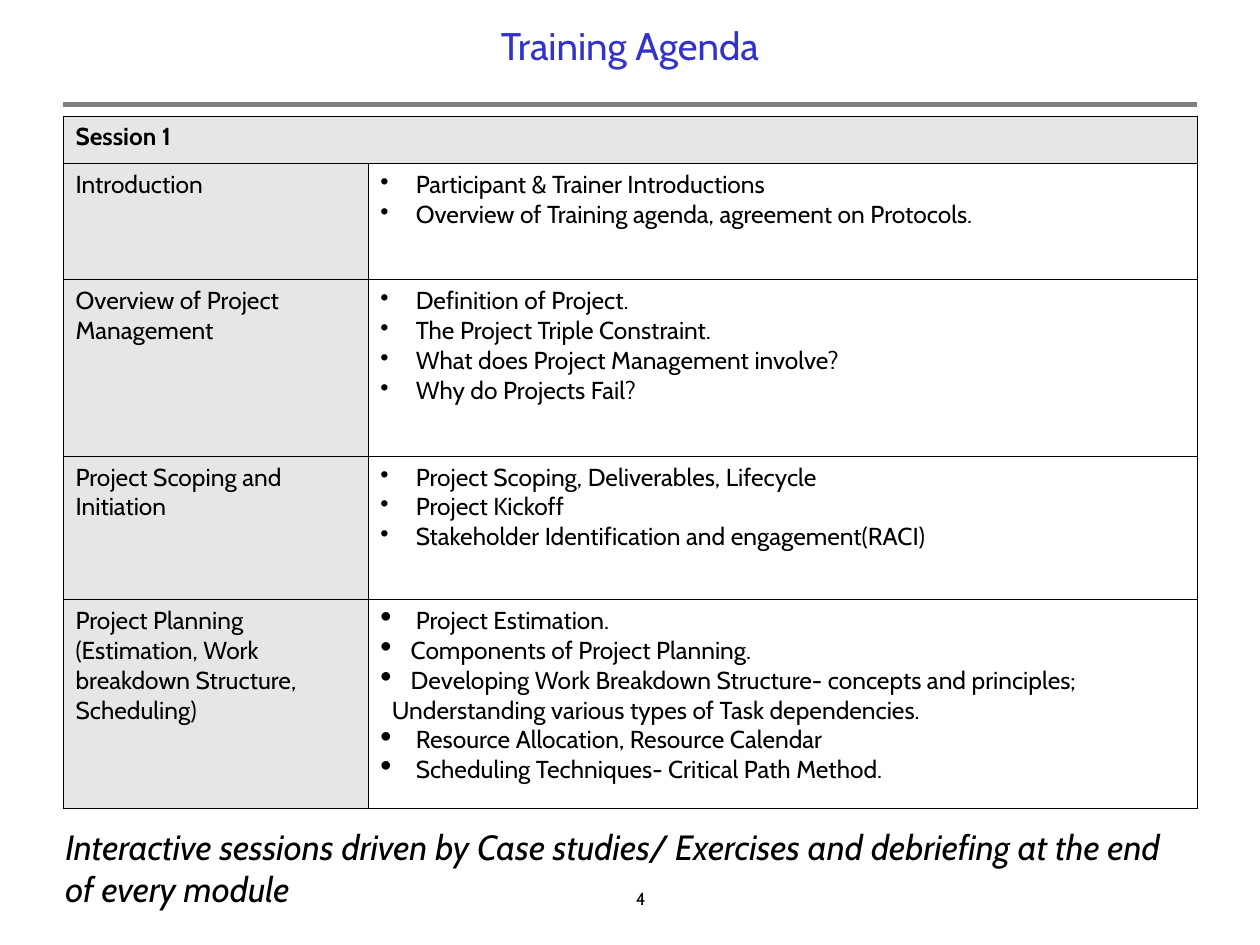
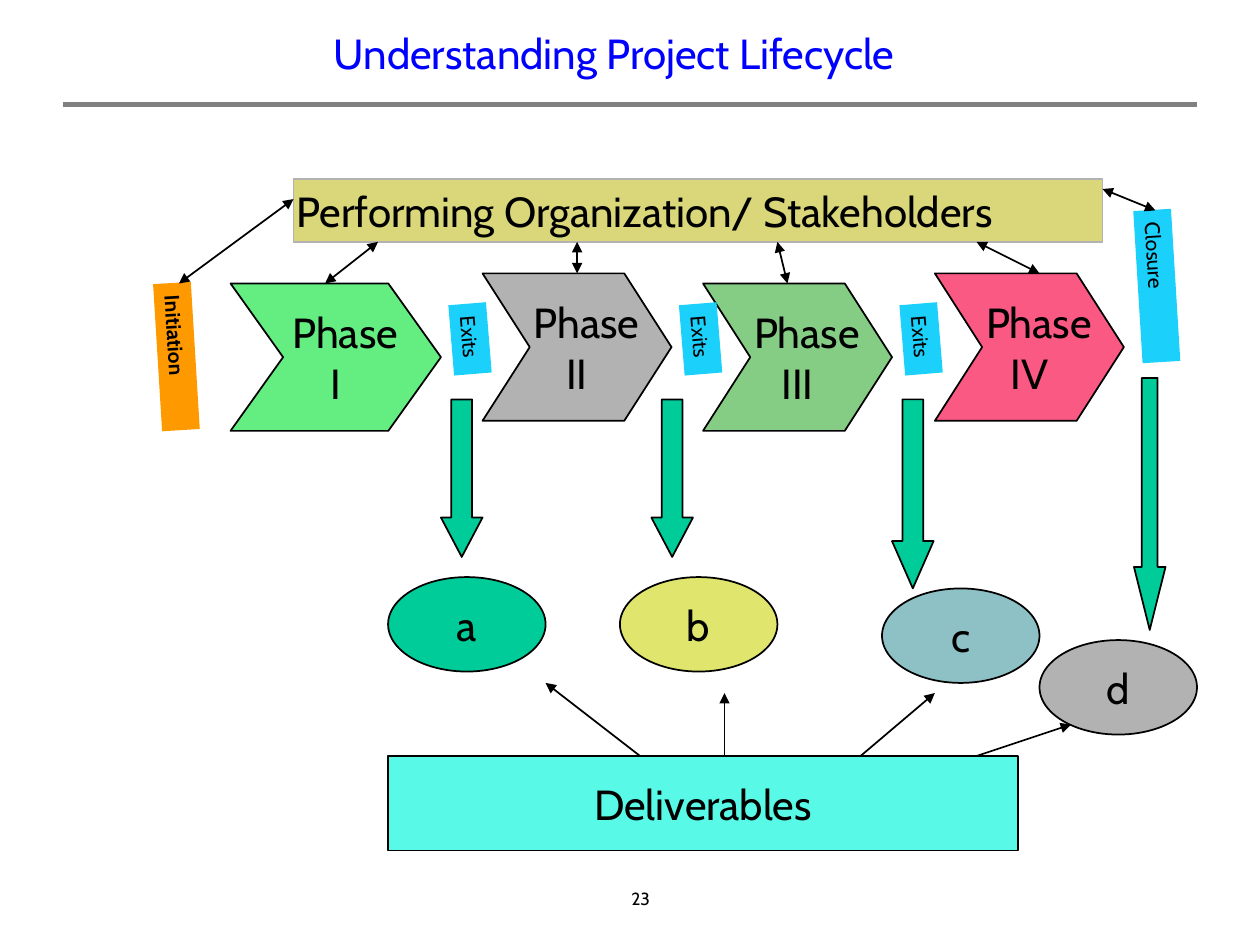
from dataclasses import dataclass
from lxml import etree
from pptx import Presentation, util as u
from pptx.dml.color import RGBColor
from pptx.enum import shapes, text
from pptx.oxml.ns import qn

KIND = shapes.MSO_SHAPE
ALIGN = text.PP_ALIGN
MID = text.MSO_ANCHOR.MIDDLE
TOP = text.MSO_ANCHOR.TOP
PADS = (0.1, 0.05, 0.1, 0.05)


@dataclass(frozen=True)
class Theme:
    font: str = "Cabin"
    ink: str = "000000"
    rule: str = "808080"
    agenda: str = "3333CC"
    cycle: str = "0000FF"
    band: str = "E6E6E6"
    green: str = "00CC99"
    lime: str = "64EE82"
    gray: str = "B2B2B2"
    sage: str = "85CD85"
    pink: str = "F95983"
    lemon: str = "DFE56D"
    steel: str = "8DC1C5"
    aqua: str = "58FAE7"
    sky: str = "1BD0FB"
    khaki: str = "D9D779"
    orange: str = "FF9900"
    big: int = 24
    head: int = 22
    note: int = 20
    body: int = 14
    tag: int = 12
    foot: int = 10


T = Theme()

AGENDA = [
    ("Introduction", 0.92,
     ["Participant & Trainer Introductions",
      "Overview of Training agenda, agreement on Protocols."]),
    ("Overview of Project Management", 1.4,
     ["Definition of Project.", "The Project Triple Constraint.",
      "What does Project Management involve?", "Why do Projects Fail?"]),
    ("Project Scoping and Initiation", 1.14,
     ["Project Scoping, Deliverables, Lifecycle", "Project Kickoff",
      "Stakeholder Identification and engagement(RACI)"]),
    ("Project Planning (Estimation, Work breakdown Structure, Scheduling)", 1.66,
     ["Project Estimation.", "Components of Project Planning.",
      "Developing Work Breakdown Structure- concepts and principles;",
      "Understanding various types of Task dependencies.",
      "Resource Allocation, Resource Calendar",
      "Scheduling Techniques- Critical Path Method."]),
]


def rgb(code):
    return RGBColor.from_string(code)


def inch(*nums):
    return [u.Inches(num) for num in nums]


def child(base, tag, **attrs):
    return etree.SubElement(base, qn(tag), {key: str(val) for key, val in attrs.items()})


def indent(para, left, hang=0):
    prop = para._p.get_or_add_pPr()
    prop.set("marL", str(u.Inches(left)))
    prop.set("indent", str(-u.Inches(hang)))
    return prop


def bullet(para, left, scale):
    prop = indent(para, left, left)
    child(child(prop, "a:buClr"), "a:srgbClr", val=T.ink)
    child(prop, "a:buSzPct", val=scale * 1000)
    child(prop, "a:buChar", char="•")


def write(frame, words, size=T.big, color=T.ink, bold=False, italic=False,
          align=ALIGN.LEFT, anchor=TOP, wrap=True, pads=PADS):
    frame.word_wrap = wrap
    frame.vertical_anchor = anchor
    (frame.margin_left, frame.margin_top,
     frame.margin_right, frame.margin_bottom) = inch(*pads)
    for num, line in enumerate(words.split("\n")):
        para = frame.add_paragraph() if num else frame.paragraphs[0]
        para.alignment = align
        run = para.add_run()
        run.text = line
        font = run.font
        font.name, font.size = T.font, u.Pt(size)
        font.bold, font.italic = bold, italic
        font.color.rgb = rgb(color)
    return frame.paragraphs


def label(slide, box, words, **form):
    write(slide.shapes.add_textbox(*inch(*box)).text_frame, words, **form)


def paint(shape, fill, line):
    shape.shadow.inherit = False
    shape.fill.solid()
    shape.fill.fore_color.rgb = rgb(fill)
    if line:
        shape.line.color.rgb = rgb(line)
        shape.line.width = u.Pt(1)
    else:
        shape.line.fill.background()


def block(slide, kind, box, fill, words="", line=T.ink, **form):
    shape = slide.shapes.add_shape(kind, *inch(*box))
    paint(shape, fill, line)
    if words:
        look = {"align": ALIGN.CENTER, "anchor": MID, "wrap": False}
        write(shape.text_frame, words, **{**look, **form})
    return shape


def tag(slide, mid, size, turn, fill, words, **form):
    box = (mid[0] - size[0] / 2, mid[1] - size[1] / 2, *size)
    shape = block(slide, KIND.RECTANGLE, box, fill, words, line=None,
                  size=T.tag, align=ALIGN.LEFT, anchor=TOP, **form)
    shape.rotation = turn


def phase(slide, left, top, wide, fill, mark):
    high = 1.17
    spots = [(0, 0), (0.75, 0), (1, 0.5), (0.75, 1), (0, 1), (0.25, 0.5)]
    dots = [inch(left + wide * x, top + high * y) for x, y in spots]
    path = slide.shapes.build_freeform(*dots[0])
    path.add_line_segments(dots[1:], close=True)
    shape = path.convert_to_shape()
    paint(shape, fill, T.ink)
    paras = write(shape.text_frame, "Phase\n" + mark, align=ALIGN.CENTER, anchor=MID)
    indent(paras[0], 0.15)


def drop(slide, left, top, wide, high):
    arrow = block(slide, KIND.DOWN_ARROW, (left, top, wide, high), T.green)
    arrow.adjustments[1] = high / wide / 4


def wire(slide, start, end, color=T.ink, width=1, tips=()):
    line = slide.shapes.add_connector(shapes.MSO_CONNECTOR.STRAIGHT, *inch(*start, *end))
    line.line.color.rgb = rgb(color)
    line.line.width = u.Pt(width)
    for tip in tips:
        child(line.line._get_or_add_ln(), tip, type="triangle")
    child(line._element.spPr, "a:effectLst")


def cell(box, words, fill=None, **form):
    if fill:
        box.fill.solid()
        box.fill.fore_color.rgb = rgb(fill)
    else:
        box.fill.background()
    prop = box._tc.get_or_add_tcPr()
    for spot, side in enumerate(("L", "R", "T", "B")):
        edge = child(prop, "a:ln" + side, w=u.Pt(0.45))
        child(child(edge, "a:solidFill"), "a:srgbClr", val=T.ink)
        prop.insert(spot, edge)
    return write(box.text_frame, words, size=T.body, **form)


def base(deck, title, box, page, **form):
    slide = deck.slides.add_slide(deck.slide_layouts[6])
    wire(slide, (0.5, 0.83), (9.5, 0.83), T.rule, 3)
    label(slide, (4.5, 7, 1.17, 0.33), page, size=T.foot, align=ALIGN.CENTER)
    label(slide, box, title, align=ALIGN.CENTER, anchor=MID, **form)
    return slide


def agenda(deck):
    slide = base(deck, "Training Agenda", (0.5, 0.25, 9, 0.58), "4",
                 size=T.head, color=T.agenda, pads=(0, 0, 0, 0.37))
    grid = slide.shapes.add_table(len(AGENDA) + 1, 2, *inch(0.5, 0.92, 9, 5.5)).table
    grid.first_row = grid.horz_banding = False
    for col, wide in zip(grid.columns, inch(2.42, 6.58)):
        col.width = wide
    grid.rows[0].height = u.Inches(0.38)
    grid.cell(0, 0).merge(grid.cell(0, 1))
    cell(grid.cell(0, 0), "Session 1", T.band, bold=True)
    cell(grid.cell(0, 1), "", T.band)
    for row, (topic, high, points) in enumerate(AGENDA, 1):
        grid.rows[row].height = u.Inches(high)
        cell(grid.cell(row, 0), topic, T.band)
        last = row == len(AGENDA)
        for num, para in enumerate(cell(grid.cell(row, 1), "\n".join(points))):
            if last and num == 3:
                indent(para, 0.09)
            else:
                bullet(para, 0.24 if last and num in (1, 2) else 0.28, 135 if last else 100)
    label(slide, (0.42, 6.5, 9.17, 0.77),
          "Interactive sessions driven by Case studies/ Exercises and debriefing "
          "at the end of every module",
          size=T.note, italic=True, pads=(0.1, 0.05, 0.2, 0.05))


def cycle(deck):
    slide = base(deck, "Understanding Project Lifecycle", (0.75, 0, 8.25, 0.83), "23",
                 color=T.cycle)
    for item in [(3.83, 2.17, 1.5, T.gray, "II"), (1.83, 2.25, 1.67, T.lime, "I"),
                 (5.58, 2.25, 1.5, T.sage, "III"), (7.42, 2.17, 1.5, T.pink, "IV")]:
        phase(slide, *item)
    for left, top, fill, name in [(3.08, 4.58, T.green, "a"), (4.92, 4.58, T.lemon, "b"),
                                  (7, 4.67, T.steel, "c"), (8.25, 5.08, T.gray, "d")]:
        block(slide, KIND.OVAL, (left, top, 1.25, 0.75), fill, name)
    for box in [(3.5, 3.17, 0.33, 1.25), (5.17, 3.17, 0.33, 1.25),
                (7.08, 3.17, 0.33, 1.5), (9, 3, 0.25, 2)]:
        drop(slide, *box)
    block(slide, KIND.RECTANGLE, (3.08, 6, 5, 0.75), T.aqua, "Deliverables")
    for left, end in [(5.08, (4.33, 5.42)), (5.75, (5.75, 5.5)),
                      (6.83, (7.42, 5.5)), (7.75, (8.5, 5.75))]:
        wire(slide, (left, 6), end, tips=["a:tailEnd"])
    for mid in (3.73, 5.56, 7.31):
        tag(slide, (mid, 2.69), (0.56, 0.3), 85.3, T.sky, "Exits")
    tag(slide, (9.18, 2.27), (1.21, 0.3), 86.5, T.sky, "Closure", wrap=True)
    tag(slide, (1.4, 2.83), (1.17, 0.3), 86.5, T.orange, "Initiation", wrap=True, bold=True)
    block(slide, KIND.RECTANGLE, (2.33, 1.42, 6.42, 0.5), T.khaki,
          "Performing Organization/ Stakeholders", line=T.gray,
          align=ALIGN.LEFT, wrap=True, pads=(0.02, 0.05, 0.1, 0.05))
    for start, end in [((2.58, 2.25), (3, 1.92)), ((4.58, 2.17), (4.58, 1.92)),
                       ((6.25, 2.25), (6.17, 1.92)), ((8.25, 2.17), (7.75, 1.92)),
                       ((1.42, 2.25), (2.33, 1.58)), ((9.17, 1.67), (8.75, 1.5))]:
        wire(slide, start, end, tips=["a:headEnd", "a:tailEnd"])


def main():
    deck = Presentation()
    deck.slide_width, deck.slide_height = inch(10, 7.5)
    agenda(deck)
    cycle(deck)
    deck.save("out.pptx")


if __name__ == "__main__":
    main()
